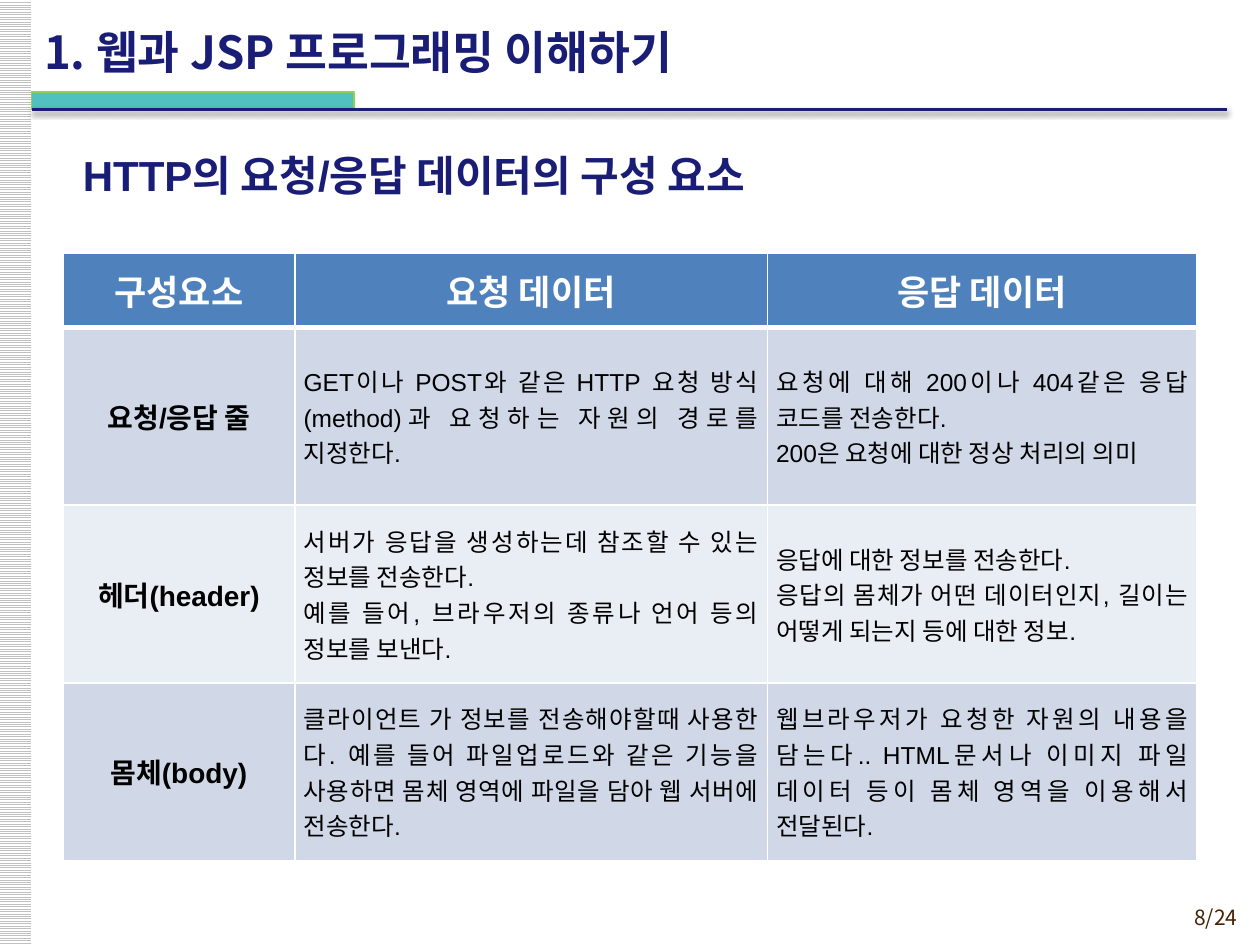
from lxml import etree
from pptx import Presentation
from pptx import util as u
from pptx.dml.color import RGBColor
from pptx.enum import dml, shapes, text
from pptx.oxml import parse_xml
from pptx.oxml.ns import nsdecls, qn

LATIN, KOREAN = "Arial", "Noto Sans CJK KR"
NAVY, WHITE, BLACK = "191D76", "FFFFFF", "000000"
HEADER_FILL, BAND_FILLS = "4F81BD", ("D0D8E8", "E9EDF4")
LEFT, CENTER, RIGHT, JUSTIFY = (text.PP_ALIGN.LEFT, text.PP_ALIGN.CENTER,
                                text.PP_ALIGN.RIGHT, text.PP_ALIGN.JUSTIFY)
MIDDLE = text.MSO_ANCHOR.MIDDLE

TITLE = "1. 웹과 JSP 프로그래밍 이해하기"
HEADING = "HTTP의 요청/응답 데이터의 구성 요소"
PAGE = "8/24"
HEADER = ("구성요소", "요청 데이터", "응답 데이터")
COMPONENTS = [
    ("요청/응답 줄",
     ["GET이나 POST와 같은 HTTP 요청 방식(method)과 요청하는 자원의 경로를 지정한다."],
     ["요청에 대해 200이나 404같은 응답 코드를 전송한다. ",
      "200은 요청에 대한 정상 처리의 의미"]),
    ("헤더(header)",
     ["서버가 응답을 생성하는데 참조할 수 있는 정보를 전송한다.",
      "예를 들어, 브라우저의 종류나 언어 등의 정보를 보낸다."],
     ["응답에 대한 정보를 전송한다.",
      "응답의 몸체가 어떤 데이터인지, 길이는 어떻게 되는지 등에 대한 정보."]),
    ("몸체(body)",
     ["클라이언트 가 정보를 전송해야할때 사용한다. 예를 들어 파일업로드와 같은 "
      "기능을 사용하면 몸체 영역에 파일을 담아 웹 서버에 전송한다."],
     ["웹브라우저가 요청한 자원의 내용을 담는다.. HTML문서나 이미지 파일 "
      "데이터 등이 몸체 영역을 이용해서 전달된다."]),
]
COLUMNS = (1.84, 3.75, 3.41)
HEADER_HEIGHT, ROW_HEIGHT = 0.59, 1.41
BAR_LEFT, RULE_TOP, RULE_RIGHT = 0.25, 0.87, 9.74


def rgb(value):
    return RGBColor.from_string(value)


def inches(*values):
    return [u.Inches(value) for value in values]


def write(frame, lines, size, color, align, bold=False, font=LATIN):
    for i, line in enumerate(lines):
        paragraph = frame.add_paragraph() if i else frame.paragraphs[0]
        paragraph.alignment = align
        paragraph._p.get_or_add_pPr().set("hangingPunct", "0")
        run = paragraph.add_run()
        run.text = line
        run.font.size = u.Pt(size)
        run.font.bold = bold
        run.font.color.rgb = rgb(color)
        run.font.name = font
        etree.SubElement(run.font._element, qn("a:ea"), typeface=KOREAN)


def write_box(box, line, *style):
    box.text_frame.word_wrap = True
    box.text_frame.vertical_anchor = MIDDLE
    write(box.text_frame, [line], *style)


def add_rectangle(slide, *box):
    rectangle = slide.shapes.add_shape(shapes.MSO_SHAPE.RECTANGLE, *inches(*box))
    rectangle.shadow.inherit = False
    return rectangle


def draw_frame(slide, height):
    stripe = add_rectangle(slide, -0.01, 0, 0.26, height)
    stripe.fill.patterned()
    stripe.fill.pattern = dml.MSO_PATTERN.LIGHT_HORIZONTAL
    stripe.fill.fore_color.rgb = rgb("C0C0C0")
    stripe.fill.back_color.rgb = rgb(WHITE)
    stripe.line.fill.background()

    accent = add_rectangle(slide, BAR_LEFT, RULE_TOP - 0.14, 2.56, 0.14)
    accent.fill.solid()
    accent.fill.fore_color.rgb = rgb("50C1BE")
    accent.line.color.rgb = rgb("92D050")
    accent.line.width = u.Pt(0.75)

    rule = slide.shapes.add_connector(
        shapes.MSO_CONNECTOR.STRAIGHT,
        *inches(BAR_LEFT, RULE_TOP, RULE_RIGHT, RULE_TOP))
    rule.line.color.rgb = rgb("191E70")
    rule.line.width = u.Pt(2)
    rule._element.spPr.append(parse_xml(
        f'<a:effectLst {nsdecls("a")}><a:outerShdw blurRad="{u.Pt(3.1)}" '
        f'dist="{u.Pt(1.6)}" dir="5400000" rotWithShape="0"><a:srgbClr val="{BLACK}">'
        '<a:alpha val="38000"/></a:srgbClr></a:outerShdw></a:effectLst>'))


def style_cell(cell, fill, top=1, bottom=1):
    cell.vertical_anchor = MIDDLE
    cell.margin_left = cell.margin_right = u.Inches(0.07)
    cell.margin_top = cell.margin_bottom = 0
    properties = cell._tc.get_or_add_tcPr()
    for side, width in zip("LRTB", (1, 1, top, bottom)):
        properties.append(parse_xml(
            f'<a:ln{side} {nsdecls("a")} w="{u.Pt(width)}"><a:solidFill>'
            f'<a:srgbClr val="{WHITE}"/></a:solidFill></a:ln{side}>'))
    cell.fill.solid()
    cell.fill.fore_color.rgb = rgb(fill)


def add_components(slide):
    height = HEADER_HEIGHT + ROW_HEIGHT * len(COMPONENTS)
    table = slide.shapes.add_table(
        len(COMPONENTS) + 1, len(COLUMNS),
        *inches(0.5, 2.01, sum(COLUMNS), height)).table
    for column, width in zip(table.columns, COLUMNS):
        column.width = u.Inches(width)
    for i, row in enumerate(table.rows):
        row.height = u.Inches(ROW_HEIGHT if i else HEADER_HEIGHT)
    for c, label in enumerate(HEADER):
        cell = table.cell(0, c)
        style_cell(cell, HEADER_FILL, bottom=3)
        write(cell.text_frame, [label], 20, WHITE, CENTER, True, KOREAN)
    for r, (name, *details) in enumerate(COMPONENTS, 1):
        for c, lines in enumerate([[name], *details]):
            cell = table.cell(r, c)
            style_cell(cell, BAND_FILLS[(r - 1) % 2], top=3 if r == 1 else 1)
            style = (14, BLACK, JUSTIFY) if c else (16, BLACK, CENTER, True)
            write(cell.text_frame, lines, *style)


def main():
    deck = Presentation()
    deck.slide_width, deck.slide_height = inches(10, 7.5)
    slide = deck.slides.add_slide(deck.slide_layouts[5])
    draw_frame(slide, 7.5)

    title = slide.shapes.title
    title.left, title.top, title.width, title.height = inches(0.25, 0.09, 8.27, 0.63)
    title.text_frame.auto_size = text.MSO_AUTO_SIZE.NONE
    write_box(title, TITLE, 26, NAVY, LEFT, True, KOREAN)

    add_components(slide)
    heading = slide.shapes.add_textbox(*inches(0.56, 1.07, 8.27, 0.63))
    write_box(heading, HEADING, 24, NAVY, LEFT, True)
    page = slide.shapes.add_textbox(*inches(8.86, 7.13, 1.06, 0.29))
    write_box(page, PAGE, 12, "452103", RIGHT, False, KOREAN)
    deck.save("out.pptx")


if __name__ == "__main__":
    main()
